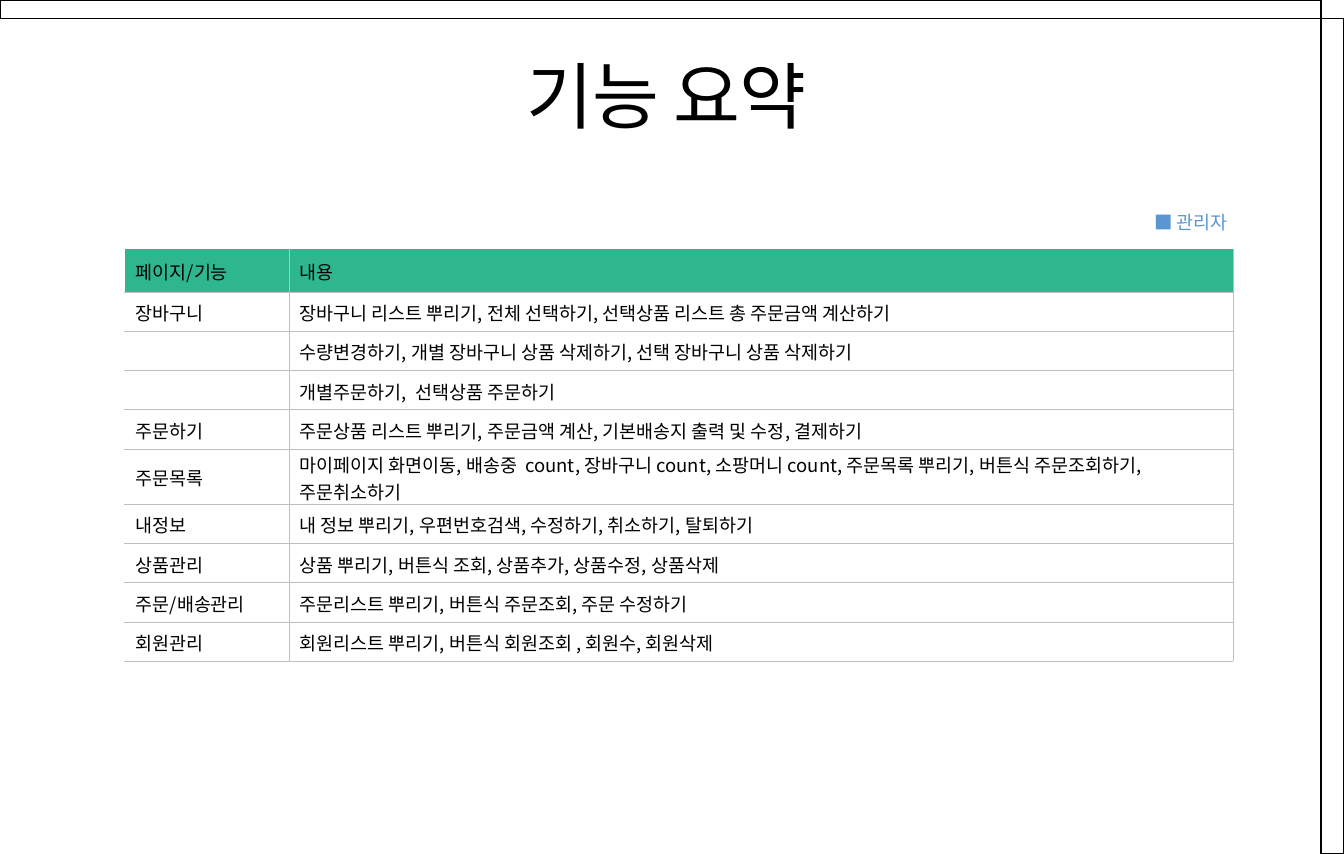
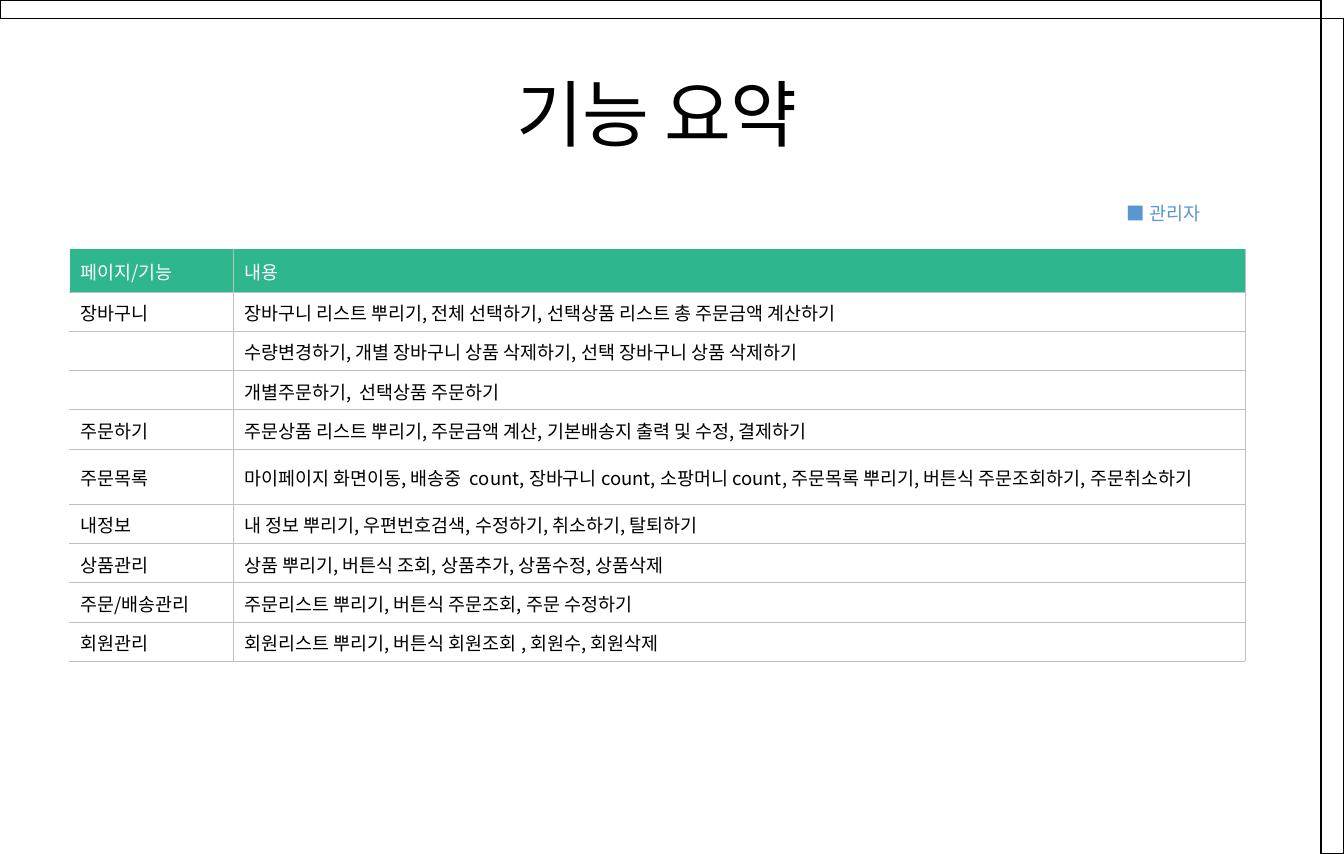
from lxml import etree
from pptx import Presentation
from pptx.dml.color import RGBColor
from pptx.enum.shapes import MSO_SHAPE
from pptx.enum.text import MSO_ANCHOR, MSO_AUTO_SIZE, PP_ALIGN
from pptx.oxml.ns import qn
from pptx.util import Emu, Pt

RECTANGLE = MSO_SHAPE.RECTANGLE
TOP, MIDDLE = MSO_ANCHOR.TOP, MSO_ANCHOR.MIDDLE
LEFT, RIGHT = PP_ALIGN.LEFT, PP_ALIGN.RIGHT
GROW = MSO_AUTO_SIZE.SHAPE_TO_FIT_TEXT

EMU_PER_PX = 9525
SLIDE_SIZE = (1164, 740)
TITLE_ONLY = 5
KOREAN, LATIN = "Noto Sans CJK KR", "Calibri"
COLORS = {
    "text": "000000",
    "light": "FFFFFF",
    "header": "2EB68E",
    "label": "5A96D2",
    "rule": "BFBFBF",
}

FRAME_BARS = [(0, 0, 1144, 16), (1144, 16, 20, 724)]
TABLE_TOP = 216
HEADER_HEIGHT, ROW_HEIGHT, TWO_LINE_HEIGHT = 37, 34, 48
TWO_LINE_PAGE = "주문목록"

FEATURES = [
    ("페이지/기능", "내용"),
    ("장바구니", "장바구니 리스트 뿌리기, 전체 선택하기, 선택상품 리스트 총 주문금액 계산하기"),
    ("", "수량변경하기, 개별 장바구니 상품 삭제하기, 선택 장바구니 상품 삭제하기"),
    ("", "개별주문하기,  선택상품 주문하기"),
    ("주문하기", "주문상품 리스트 뿌리기, 주문금액 계산, 기본배송지 출력 및 수정, 결제하기"),
    (TWO_LINE_PAGE, "마이페이지 화면이동, 배송중  count, 장바구니 count, 소팡머니 count, "
                    "주문목록 뿌리기, 버튼식 주문조회하기, 주문취소하기"),
    ("내정보", "내 정보 뿌리기, 우편번호검색, 수정하기, 취소하기, 탈퇴하기"),
    ("상품관리", "상품 뿌리기, 버튼식 조회, 상품추가, 상품수정, 상품삭제"),
    ("주문/배송관리", "주문리스트 뿌리기, 버튼식 주문조회, 주문 수정하기"),
    ("회원관리", "회원리스트 뿌리기, 버튼식 회원조회 , 회원수, 회원삭제"),
]

SUMMARIES = [
    {"title_at": (446, 50), "label_at": (950, 178), "table_left": 108,
     "columns": (142, 818), "header_color": "text"},
    {"title_at": (438, 66), "label_at": (926, 170), "table_left": 60,
     "columns": (142, 876), "header_color": "light"},
]


def px(length):
    return Emu(length * EMU_PER_PX)


def rgb(name):
    return RGBColor.from_string(COLORS[name])


def add_text(paragraph, text, *, size=12, font=KOREAN, color="text", spacing=None):
    """Append a formatted run; spacing is in hundredths of a point."""
    run = paragraph.add_run()
    run.text = text
    run.font.size = Pt(size)
    run.font.color.rgb = rgb(color)
    run.font.name = font
    properties = run.font._element
    etree.SubElement(properties, qn("a:ea"), typeface=font)
    if spacing is not None:
        properties.set("spc", str(spacing))


def add_frame(slide):
    for bounds in FRAME_BARS:
        bar = slide.shapes.add_shape(RECTANGLE, *map(px, bounds))
        bar.shadow.inherit = False
        bar.fill.background()
        bar.line.color.rgb = rgb("text")
        bar.line.width = Pt(1)


def set_title(slide, text, left, top):
    title = slide.shapes.title
    title.left, title.top, title.width, title.height = map(px, (left, top, 273, 76))
    frame = title.text_frame
    frame.word_wrap = False
    frame.auto_size = GROW
    frame.vertical_anchor = TOP
    heading = frame.paragraphs[0]
    heading.alignment = LEFT
    heading.line_spacing = Pt(48.5)
    add_text(heading, text, size=47.2, spacing=-50)


def add_role_label(slide, role, left, top):
    label = slide.shapes.add_textbox(*map(px, (left, top, 123, 38)))
    label.text_frame.word_wrap = True
    line = label.text_frame.paragraphs[0]
    line.alignment = RIGHT
    add_text(line, "■ ", font=LATIN, color="label")
    add_text(line, role, color="label")


def set_borders(cell, borders):
    """Draw cell edges from (tag, colour name or None, points), in schema order."""
    properties = cell._tc.get_or_add_tcPr()
    for position, (tag, color, points) in enumerate(borders):
        edge = etree.Element(qn(f"a:{tag}"), w=str(Pt(points)))
        if color:
            fill = etree.SubElement(edge, qn("a:solidFill"))
            etree.SubElement(fill, qn("a:srgbClr"), val=COLORS[color])
        else:
            etree.SubElement(edge, qn("a:noFill"))
        properties.insert(position, edge)


def format_cell(cell, text, *, is_header, is_first, color):
    cell.vertical_anchor = MIDDLE
    cell.margin_top, cell.margin_bottom = px(2), px(0)
    if is_header:
        cell.fill.solid()
        cell.fill.fore_color.rgb = rgb("header")
    else:
        cell.fill.background()
    set_borders(cell, [
        ("lnL", "light", 1) if is_first else ("lnL", "rule", 0.25),
        ("lnR", "rule", 0.25),
        ("lnT", None if is_header else "rule", 0.25),
        ("lnB", "rule", 0.25),
    ])
    if text:
        add_text(cell.text_frame.paragraphs[0], text, color=color)


def add_feature_table(slide, left, columns, header_color):
    heights = [HEADER_HEIGHT] + [
        TWO_LINE_HEIGHT if page == TWO_LINE_PAGE else ROW_HEIGHT
        for page, _ in FEATURES[1:]
    ]
    bounds = (left, TABLE_TOP, sum(columns), sum(heights))
    table = slide.shapes.add_table(
        len(FEATURES), len(columns), *map(px, bounds)).table
    table.first_row = table.horz_banding = False
    for column, width in zip(table.columns, columns):
        column.width = px(width)
    for row_index, (row, height) in enumerate(zip(table.rows, heights)):
        row.height = px(height)
        is_header = row_index == 0
        for column_index, text in enumerate(FEATURES[row_index]):
            format_cell(row.cells[column_index], text, is_header=is_header,
                        is_first=column_index == 0,
                        color=header_color if is_header else "text")


def main():
    deck = Presentation()
    deck.slide_width, deck.slide_height = map(px, SLIDE_SIZE)
    for summary in SUMMARIES:
        slide = deck.slides.add_slide(deck.slide_layouts[TITLE_ONLY])
        set_title(slide, "기능 요약", *summary["title_at"])
        add_frame(slide)
        add_role_label(slide, "관리자", *summary["label_at"])
        add_feature_table(slide, summary["table_left"], summary["columns"],
                          summary["header_color"])
    deck.save("out.pptx")


if __name__ == "__main__":
    main()
